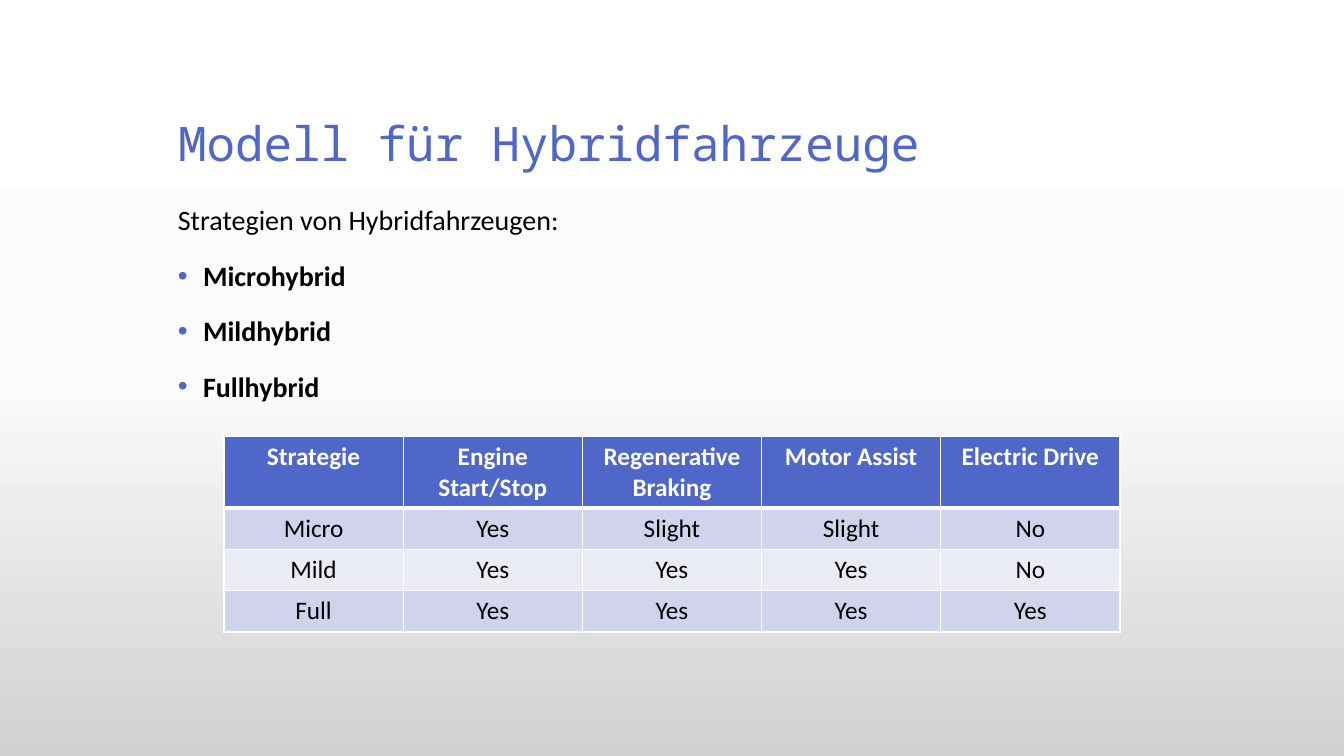
"""Build the slide on hybrid vehicle strategies with its comparison table."""
from dataclasses import dataclass

from lxml.etree import SubElement
from copy import deepcopy
from pptx import Presentation
from pptx.dml.color import RGBColor
from pptx.enum.text import MSO_ANCHOR, MSO_AUTO_SIZE, PP_ALIGN
from pptx.oxml.ns import qn
from pptx.util import Inches, Pt

TITLE = "Modell für Hybridfahrzeuge"
INTRO = "Strategien von Hybridfahrzeugen:"
STRATEGIES = ["Microhybrid", "Mildhybrid", "Fullhybrid"]
ROWS = [
    ["Strategie", "Engine Start/Stop", "Regenerative Braking", "Motor Assist", "Electric Drive"],
    ["Micro", "Yes", "Slight", "Slight", "No"],
    ["Mild", "Yes", "Yes", "Yes", "No"],
    ["Full", "Yes", "Yes", "Yes", "Yes"],
]


@dataclass(frozen=True)
class Theme:
    """Colours, fonts and type sizes of the slide."""
    accent: str = "4E67C8"
    text: str = "000000"
    light: str = "FFFFFF"
    bands: tuple = ("E9EBF5", "D0D3EB")
    backdrop: tuple = ((0, "FFFFFF"), (0.5, "FBFBFB"), (1, "D1D1D1"))
    title_font: str = "Noto Sans Mono"
    body_font: str = "Calibri"
    title_size: int = 34
    body_size: int = 20
    table_size: int = 18


THEME = Theme()
WIDTH, HEIGHT = Inches(13.33), Inches(7.5)
MARGIN, TEXT_WIDTH = WIDTH // 8, WIDTH * 3 // 4
TABLE_LEFT, TABLE_WIDTH = WIDTH // 6, WIDTH * 2 // 3
HEADER_HEIGHT, ROW_HEIGHT = Inches(0.71), Inches(0.41)


def add_span(para, text, font, size, color, bold=False):
    """Add one formatted run to a paragraph."""
    span = para.add_run()
    span.text = text
    span.font.name, span.font.size, span.font.bold = font, Pt(size), bold
    span.font.color.rgb = RGBColor.from_string(color)


def place(shape, left, top, width, height):
    """Set the position and size of a shape."""
    shape.left, shape.top, shape.width, shape.height = left, top, width, height


def paint_backdrop(page):
    """Fill the page with a vertical gradient."""
    fill = page.background.fill
    fill.gradient()
    fill.gradient_angle = 270
    stop_list = page.element.find(".//" + qn("a:gsLst"))
    stop_list.append(deepcopy(stop_list[-1]))
    for stop, (position, color) in zip(fill.gradient_stops, THEME.backdrop):
        stop.position = position
        stop.color.rgb = RGBColor.from_string(color)


def add_bullet(para):
    """Give a paragraph a coloured bullet with a hanging indent."""
    props = para._p.get_or_add_pPr()
    props.set("marL", str(Inches(0.25)))
    props.set("indent", str(-Inches(0.25)))
    color = SubElement(props, qn("a:buClr"))
    SubElement(color, qn("a:srgbClr"), val=THEME.accent)
    SubElement(props, qn("a:buFont"), typeface="Arial")
    SubElement(props, qn("a:buChar"), char="•")


def add_borders(cell, bottom_width):
    """Draw the light lines around a cell."""
    props = cell._tc.get_or_add_tcPr()
    for side, width in (("L", 1), ("R", 1), ("T", 1), ("B", bottom_width)):
        line = SubElement(props, qn("a:ln" + side), w=str(Pt(width)))
        fill = SubElement(line, qn("a:solidFill"))
        SubElement(fill, qn("a:srgbClr"), val=THEME.light)


def add_title(page):
    """Format the title placeholder."""
    title = page.shapes.title
    place(title, MARGIN, HEIGHT // 15, TEXT_WIDTH, HEIGHT // 6)
    frame = title.text_frame
    frame.vertical_anchor, frame.auto_size = MSO_ANCHOR.BOTTOM, MSO_AUTO_SIZE.NONE
    para = frame.paragraphs[0]
    para.alignment, para.line_spacing = PP_ALIGN.LEFT, 0.9
    add_span(para, TITLE, THEME.title_font, THEME.title_size, THEME.accent)


def add_strategies(page):
    """Add the introduction and the bulleted strategies."""
    box = page.shapes.add_textbox(MARGIN, Inches(2), TEXT_WIDTH, Inches(4.67))
    frame = box.text_frame
    frame.word_wrap = True
    for index, text in enumerate([INTRO] + STRATEGIES):
        para = frame.add_paragraph() if index else frame.paragraphs[0]
        para.line_spacing, para.space_before = 0.9, Pt(18)
        if index:
            add_bullet(para)
        add_span(para, text, THEME.body_font, THEME.body_size, THEME.text, index > 0)


def add_comparison(page):
    """Add the table that compares the strategies."""
    height = HEADER_HEIGHT + ROW_HEIGHT * (len(ROWS) - 1)
    table = page.shapes.add_table(
        len(ROWS), len(ROWS[0]), TABLE_LEFT, Inches(4.33), TABLE_WIDTH, height).table
    for row_index, texts in enumerate(ROWS):
        header = row_index == 0
        table.rows[row_index].height = HEADER_HEIGHT if header else ROW_HEIGHT
        fill = THEME.accent if header else THEME.bands[row_index % 2]
        color = THEME.light if header else THEME.text
        for column_index, text in enumerate(texts):
            cell = table.cell(row_index, column_index)
            add_borders(cell, 3 if header else 1)
            cell.fill.solid()
            cell.fill.fore_color.rgb = RGBColor.from_string(fill)
            para = cell.text_frame.paragraphs[0]
            para.alignment = PP_ALIGN.CENTER
            add_span(para, text, THEME.body_font, THEME.table_size, color, header)


deck = Presentation()
deck.slide_width, deck.slide_height = WIDTH, HEIGHT
page = deck.slides.add_slide(deck.slide_layouts[5])
paint_backdrop(page)
add_title(page)
add_strategies(page)
add_comparison(page)
deck.save("out.pptx")
